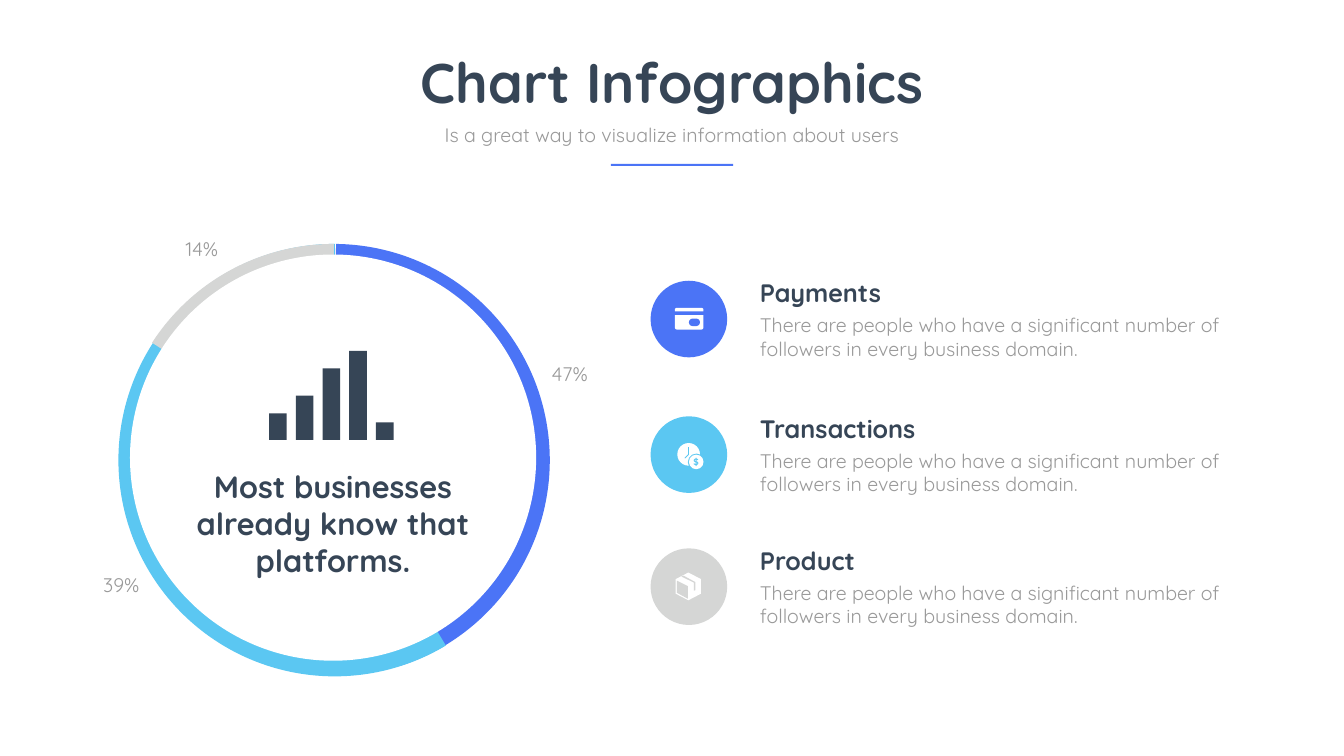
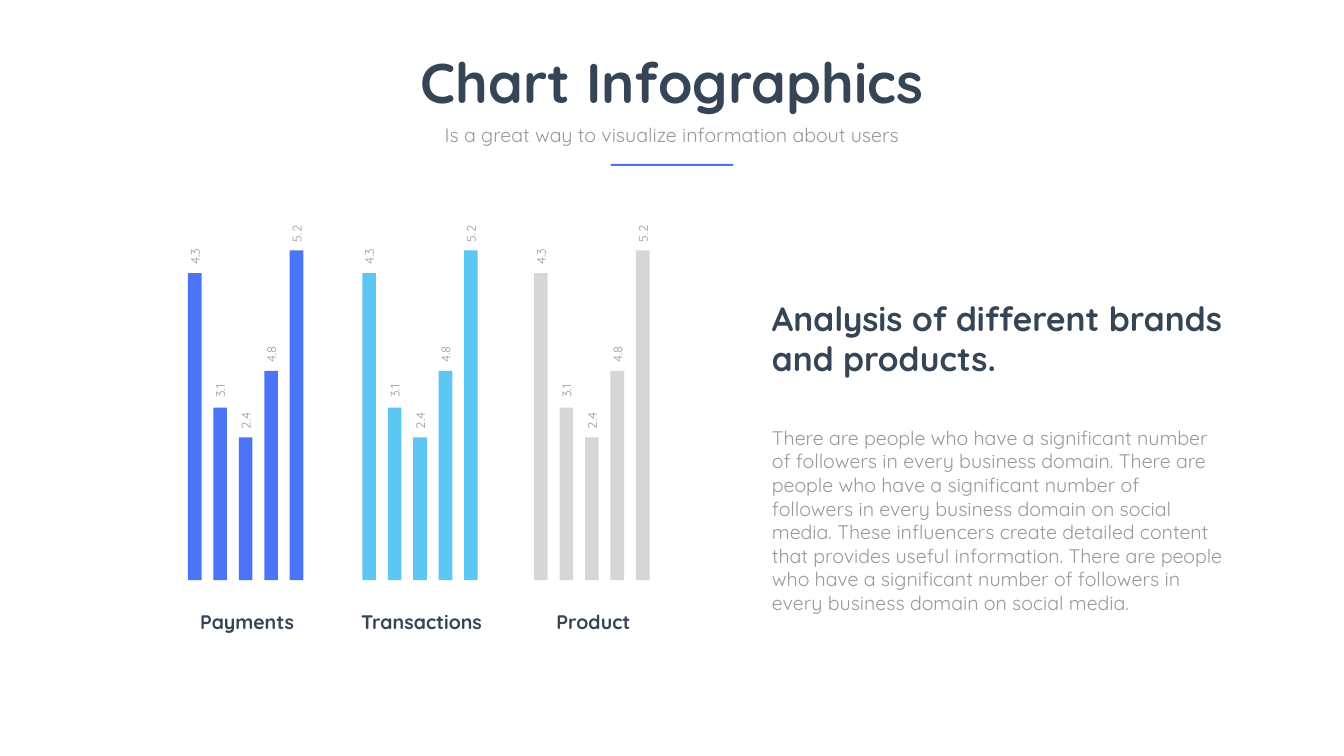
from dataclasses import dataclass

from pptx import Presentation
from pptx.dml.color import RGBColor
from pptx.enum.shapes import MSO_CONNECTOR, MSO_SHAPE
from pptx.enum.text import MSO_ANCHOR, MSO_AUTO_SIZE, PP_ALIGN
from pptx.oxml.ns import qn
from pptx.util import Inches, Pt

LEFT, CENTER = PP_ALIGN.LEFT, PP_ALIGN.CENTER
TOP, MIDDLE = MSO_ANCHOR.TOP, MSO_ANCHOR.MIDDLE
GROW = MSO_AUTO_SIZE.SHAPE_TO_FIT_TEXT
RECTANGLE, ELLIPSE, PIE = MSO_SHAPE.RECTANGLE, MSO_SHAPE.OVAL, MSO_SHAPE.PIE
ROUNDED, ROUND_TOP = MSO_SHAPE.ROUNDED_RECTANGLE, MSO_SHAPE.ROUND_2_SAME_RECTANGLE
STRAIGHT = MSO_CONNECTOR.STRAIGHT
TITLE_ONLY = 5

# Square grid cells, one inch each
CELL = Inches(1)
COLUMNS, ROWS = 26.67, 15


@dataclass(frozen=True)
class Theme:
    font: str = "Quicksand"
    blue: str = "4B74F6"
    sky: str = "5BC7F2"
    silver: str = "D5D6D5"
    dark: str = "364556"
    grey: str = "999999"
    white: str = "FFFFFF"
    title: int = 80
    headline: int = 48
    statement: int = 44
    heading: int = 36
    body: int = 28
    value: int = 18
    coin: int = 13


THEME = Theme()
TOPICS = (("Payments", THEME.blue), ("Transactions", THEME.sky), ("Product", THEME.silver))


def cells(*lengths):
    return [round(length * CELL) for length in lengths]


def color(code):
    return RGBColor.from_string(code)


class Canvas:
    """Holds the theme, the deck and the slide being drawn."""

    def __init__(self, theme):
        self.theme = theme
        self.deck = Presentation()
        self.deck.slide_width, self.deck.slide_height = cells(COLUMNS, ROWS)
        self.page = None

    def new_page(self):
        """Add a slide with the shared title, subtitle and rule."""
        self.page = self.deck.slides.add_slide(self.deck.slide_layouts[TITLE_ONLY])
        box = self.page.shapes.title
        box.left, box.top, box.width, box.height = cells(6.88, 0.9, 12.91, 1.45)
        self.set_text(box, "Chart Infographics", self.theme.title, self.theme.dark, True, CENTER)
        self.text("Is a great way to visualize information about users",
                  8.55, 2.38, 9.56, 0.57, align=CENTER)
        self.shape(RECTANGLE, 12.12, 3.25, 2.43, 0.04, self.theme.blue)

    def set_text(self, box, text, size, ink, bold=False, align=LEFT, anchor=TOP):
        frame = box.text_frame
        frame.text = text
        frame.word_wrap = True
        frame.vertical_anchor = anchor
        para = frame.paragraphs[0]
        para.alignment = align
        for span in para.runs:
            span.font.name = self.theme.font
            span.font.size = Pt(size)
            span.font.bold = bold
            span.font.color.rgb = color(ink)
        return frame

    def text(self, text, left, top, width, height, size=None, ink=None, bold=False,
             align=LEFT, rotation=0):
        box = self.page.shapes.add_textbox(*cells(left, top, width, height))
        box.rotation = rotation
        frame = self.set_text(box, text, size or self.theme.body, ink or self.theme.grey,
                              bold, align)
        frame.auto_size = GROW

    def heading(self, text, left, top, width, height, size, align=LEFT):
        self.text(text, left, top, width, height, size, self.theme.dark, True, align)

    def paint(self, shape, fill):
        shape.shadow.inherit = False
        shape.fill.solid()
        shape.fill.fore_color.rgb = color(fill)
        shape.line.fill.background()
        return shape

    def shape(self, kind, left, top, width, height, fill):
        return self.paint(self.page.shapes.add_shape(kind, *cells(left, top, width, height)), fill)

    def sector(self, left, top, size, start, end, fill):
        """Draw a pie from start to end, in degrees clockwise from three o'clock."""
        pie = self.shape(PIE, left, top, size, size, fill)
        for index, angle in enumerate((start, end)):
            pie.adjustments[index] = angle * 0.6  # 60000 units a degree, scaled by 100000

    def polygon(self, left, top, points, fill):
        corners = [cells(left + x, top + y) for x, y in points]
        builder = self.page.shapes.build_freeform(*corners[0])
        builder.add_line_segments(corners[1:], close=True)
        self.paint(builder.convert_to_shape(), fill)

    def line(self, x1, y1, x2, y2, ink, width):
        connector = self.page.shapes.add_connector(STRAIGHT, *cells(x1, y1, x2, y2))
        connector.line.color.rgb = color(ink)
        connector.line.width = Pt(width)
        properties = connector._element.spPr
        properties.append(properties.makeelement(qn("a:effectLst"), {}))

    def bars(self, left, base, pitch, width, heights, fill):
        for index, height in enumerate(heights):
            self.shape(RECTANGLE, left + index * pitch, base - height, width, height, fill)


def card_icon(canvas, left, top, accent):
    white = canvas.theme.white
    strip = canvas.shape(ROUND_TOP, left + 0.48, top + 0.54, 0.57, 0.07, white)
    strip.adjustments[0] = 0.5
    body = canvas.shape(ROUND_TOP, left + 0.48, top + 0.68, 0.57, 0.29, white)
    body.rotation = 180
    clasp = canvas.shape(ROUNDED, left + 0.76, top + 0.75, 0.22, 0.15, accent)
    clasp.adjustments[0] = 0.5


def clock_icon(canvas, left, top, accent):
    theme = canvas.theme
    canvas.shape(ELLIPSE, left + 0.53, top + 0.53, 0.45, 0.45, theme.white)
    center_x, center_y = left + 0.75, top + 0.76
    canvas.line(center_x, center_y, center_x, top + 0.61, accent, 1.25)
    canvas.line(center_x, center_y, left + 0.68, top + 0.83, accent, 1.25)
    canvas.shape(ELLIPSE, left + 0.74, top + 0.74, 0.34, 0.34, accent)
    coin = canvas.shape(ELLIPSE, left + 0.76, top + 0.76, 0.29, 0.29, theme.white)
    frame = canvas.set_text(coin, "$", theme.coin, accent, True, CENTER, MIDDLE)
    frame.margin_left = frame.margin_right = frame.margin_top = frame.margin_bottom = 0
    frame.word_wrap = False


def box_icon(canvas, left, top, accent):
    outline = ((0.75, 0.48), (1, 0.61), (1, 0.9), (0.75, 1.03), (0.5, 0.9), (0.5, 0.61))
    front = ((0.52, 0.64), (0.74, 0.75), (0.74, 1), (0.52, 0.88))
    tape = ((0.61, 0.56), (0.65, 0.54), (0.89, 0.67), (0.89, 0.83), (0.86, 0.84), (0.86, 0.68))
    canvas.polygon(left, top, outline, canvas.theme.white)
    for points in (front, tape):
        canvas.polygon(left, top, points, accent)


def ring_page(canvas):
    theme = canvas.theme
    canvas.new_page()

    ring_top, ring_size = 4.84, 8.58
    canvas.sector(2.33, ring_top, ring_size, 270.65, 72.05, theme.blue)
    canvas.sector(2.35, ring_top, ring_size, 59.03, 270.07, theme.sky)
    canvas.sector(2.33, ring_top, ring_size, 212.9, 270.07, theme.silver)
    canvas.shape(ELLIPSE, 2.58, 5.05, 8.06, 8.06, theme.white)

    canvas.bars(5.34, 8.73, 0.53, 0.35, (0.53, 0.88, 1.42, 1.77, 0.35), theme.dark)
    canvas.heading("Most businesses already know that platforms.", 3.41, 9.23, 6.4, 2.32,
                   theme.statement, CENTER)
    for share, left, top in (("14%", 3.25, 4.66), ("47%", 10.55, 7.13), ("39%", 1.65, 11.32)):
        canvas.text(share, left, top, 1.51, 0.57, align=CENTER)

    disc_left, text_left = 12.91, 14.98
    icons = (card_icon, clock_icon, box_icon)
    for (name, accent), draw_icon, top in zip(TOPICS, icons, (5.57, 8.26, 10.88)):
        canvas.shape(ELLIPSE, disc_left, top, 1.52, 1.52, accent)
        draw_icon(canvas, disc_left, top, accent)
        canvas.heading(name, text_left, top - 0.11, 7.75, 0.71, theme.heading)
        canvas.text("There are people who have a significant number of followers "
                    "in every business domain.", text_left, top + 0.59, 10.04, 1.04)


def bars_page(canvas):
    theme = canvas.theme
    canvas.new_page()

    base, pitch = 11.51, 0.505
    heights = (6.09, 3.42, 2.83, 4.15, 6.54)
    values = ("4.3", "3.1", "2.4", "4.8", "5.2")
    for (name, accent), left in zip(TOPICS, (3.73, 7.19, 10.6)):
        canvas.bars(left, base, pitch, 0.27, heights, accent)
        for index, (value, height) in enumerate(zip(values, heights)):
            canvas.text(value, left + index * pitch - 0.16, base - height - 0.53, 0.59, 0.4,
                        theme.value, align=CENTER, rotation=270)
        canvas.heading(name, left - 0.18, 12.05, 2.71, 0.57, theme.body, CENTER)

    canvas.heading("Analysis of different brands and products.", 15.22, 5.86, 9.14, 1.72,
                   theme.headline)
    canvas.text("There are people who have a significant number of followers in every business "
                "domain. There are people who have a significant number of followers in every "
                "business domain on social media. These influencers create detailed content "
                "that provides useful information. There are people who have a significant "
                "number of followers in every business domain on social media.",
                15.22, 8.4, 9.14, 4.34)


def main():
    canvas = Canvas(THEME)
    ring_page(canvas)
    bars_page(canvas)
    canvas.deck.save("out.pptx")


if __name__ == "__main__":
    main()
